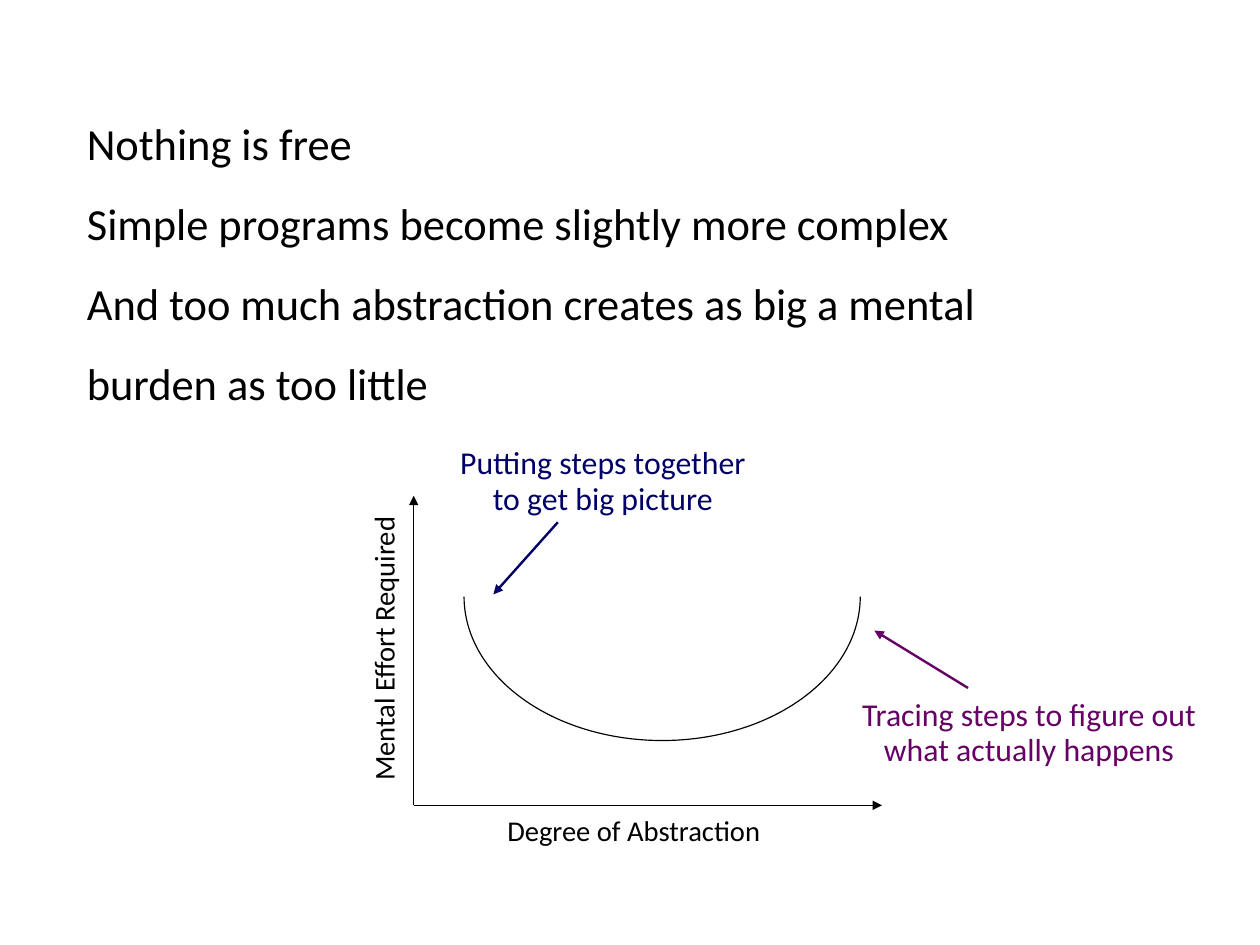
from lxml.etree import SubElement
from pptx import Presentation
from pptx.dml.color import RGBColor
from pptx.enum.shapes import MSO_CONNECTOR as Connector, MSO_SHAPE as Shape
from pptx.enum.text import MSO_ANCHOR as Anchor, MSO_AUTO_SIZE as AutoSize, PP_ALIGN as Align
from pptx.oxml.ns import qn
from pptx.util import Pt

FONT = "Calibri"
COLORS = {"black": "000000", "navy": "000066", "purple": "660066"}

POINTS = [
    "Nothing is free",
    "Simple programs become slightly more complex",
    "And too much abstraction creates as big a mental",
    "burden as too little",
]

# Chart origin and axis ends, in points
ORIGIN = (260.6, 507.3)
X_END = (555.6, ORIGIN[1])
Y_END = (ORIGIN[0], 312.3)


def color(name):
    return RGBColor.from_string(COLORS[name])


def place(shape, left, top, width, height):
    shape.left, shape.top = Pt(left), Pt(top)
    shape.width, shape.height = Pt(width), Pt(height)


def format_text(frame, size, ink, spacing, align):
    for para in frame.paragraphs:
        para.alignment = align
        para.line_spacing = spacing
        para.space_before = para.space_after = Pt(0)
        for span in para.runs:
            span.font.name = FONT
            span.font.size = Pt(size)
            span.font.color.rgb = color(ink)


def fill_list(body, lines):
    place(body, 47.5, 52.6, 680.4, 209.5)
    frame = body.text_frame
    frame.text = "\n".join(lines)
    frame.auto_size = AutoSize.NONE
    frame.vertical_anchor = Anchor.TOP
    format_text(frame, 28, "black", 1.5, Align.LEFT)
    # Hanging indent without a bullet
    for para in frame.paragraphs:
        props = para._p.get_or_add_pPr()
        props.set("marL", str(Pt(36)))
        props.set("indent", str(-Pt(36)))
        SubElement(props, qn("a:buNone"))


def add_label(page, text, bounds, size, ink, align=Align.LEFT, rotation=0):
    box = page.shapes.add_textbox(*(Pt(value) for value in bounds))
    box.rotation = rotation
    frame = box.text_frame
    frame.text = text
    frame.word_wrap = False
    format_text(frame, size, ink, 0.93, align)


def add_arrow(page, start, end, ink, width):
    arrow = page.shapes.add_connector(
        Connector.STRAIGHT, *(Pt(value) for value in start + end))
    arrow.line.color.rgb = color(ink)
    arrow.line.width = Pt(width)
    SubElement(arrow.line._get_or_add_ln(), qn("a:tailEnd"), type="triangle")
    SubElement(arrow._element.spPr, qn("a:effectLst"))


def add_curve(page, left, top, width, height):
    curve = page.shapes.add_shape(
        Shape.ARC, Pt(left), Pt(top), Pt(width), Pt(height))
    # Lower half of the ellipse: 0 to 180 degrees
    curve.adjustments[0] = 0
    curve.adjustments[1] = 108
    curve.fill.background()
    curve.line.color.rgb = color("black")
    curve.line.width = Pt(0.75)
    curve.shadow.inherit = False


def main():
    deck = Presentation()
    deck.slide_width, deck.slide_height = Pt(793.7), Pt(595.28)
    page = deck.slides.add_slide(deck.slide_layouts[1])

    # Statements; the slide has no title
    title = page.shapes.title._element
    title.getparent().remove(title)
    fill_list(page.placeholders[1], POINTS)

    # Axes and their names
    for end in (X_END, Y_END):
        add_arrow(page, ORIGIN, end, "black", 0.75)
    add_label(page, "Degree of Abstraction", (312.5, 510.2, 175.7, 27.4), 18, "black")
    add_label(page, "Mental Effort Required", (149, 391.7, 187.2, 27.4), 18, "black",
              rotation=270)

    # Effort curve
    add_curve(page, 292.3, 285.1, 249.6, 181.4)

    # Remarks on both ends of the curve
    add_label(page, "Putting steps together\nto get big picture",
              (281.5, 277.6, 196.6, 52.6), 20, "navy", Align.CENTER)
    add_arrow(page, (351.4, 329), (310.8, 374.4), "navy", 1.5)
    add_label(page, "Tracing steps to figure out\nwhat actually happens",
              (534.8, 436, 226.8, 52.6), 20, "purple", Align.CENTER)
    add_arrow(page, (609.8, 433.4), (550.8, 397.2), "purple", 1.5)

    deck.save("out.pptx")


if __name__ == "__main__":
    main()
